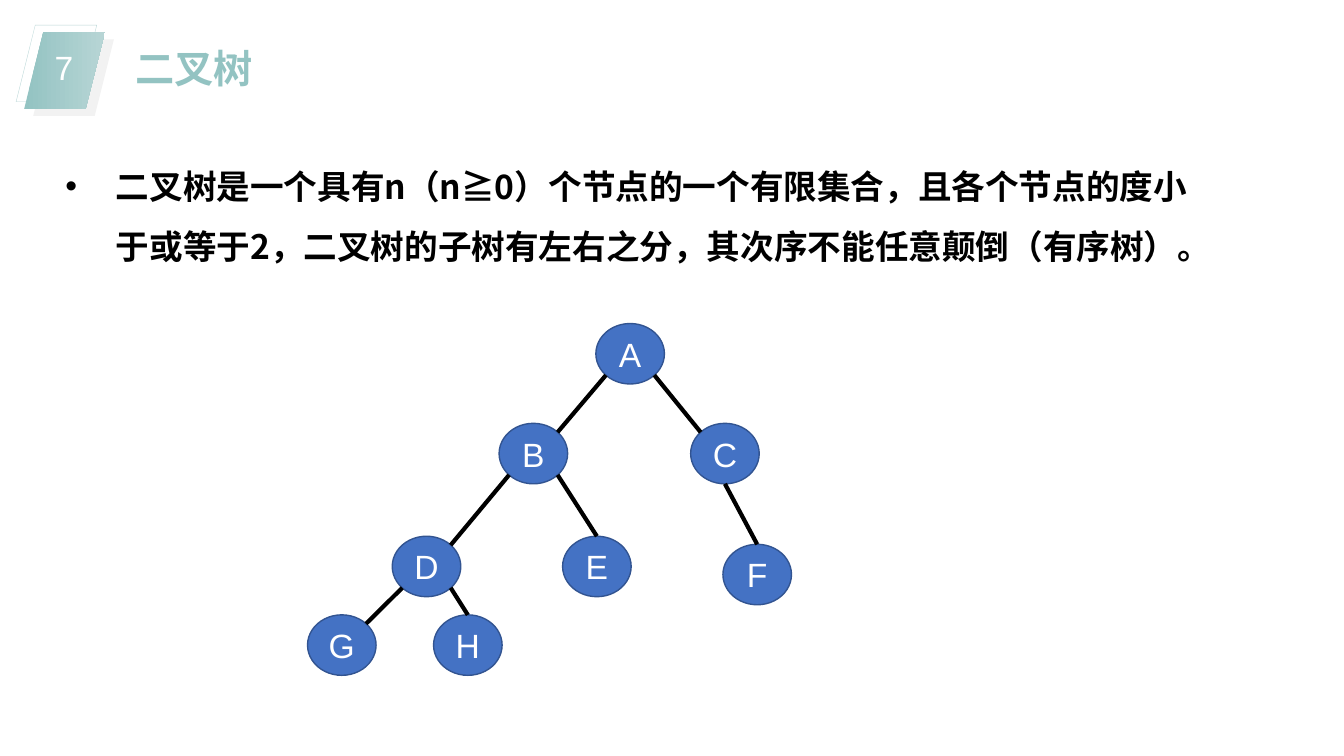
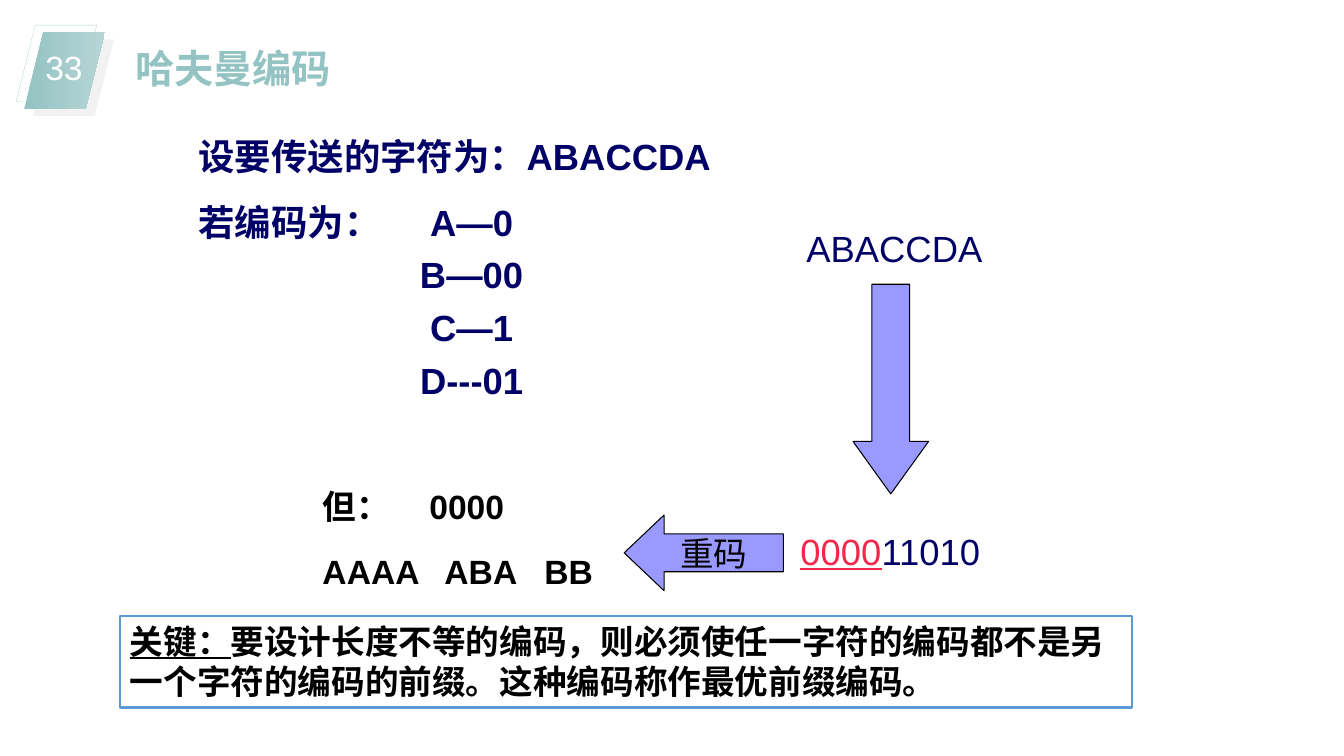
from dataclasses import dataclass, replace
from math import cos, radians, sin

from lxml.etree import SubElement
from pptx import Presentation
from pptx.dml.color import RGBColor
from pptx.enum.shapes import MSO_CONNECTOR, MSO_SHAPE
from pptx.enum.text import MSO_ANCHOR, MSO_AUTO_SIZE, PP_ALIGN
from pptx.oxml.ns import qn
from pptx.util import Inches, Pt

TEAL = RGBColor(0x93, 0xC3, 0xC2)
MIST = RGBColor(0xB7, 0xD5, 0xD5)
RIM = RGBColor(0xBA, 0xD7, 0xD7)
GREY = RGBColor(0xF2, 0xF2, 0xF2)
WHITE = RGBColor(0xFF, 0xFF, 0xFF)
BLACK = RGBColor(0, 0, 0)
NAVY = RGBColor(0, 0, 0x66)
RED = RGBColor(0xF3, 0x27, 0x49)
BLUE = RGBColor(0x44, 0x72, 0xC4)
EDGE = RGBColor(0x32, 0x54, 0x91)
LILAC = RGBColor(0x99, 0x99, 0xFF)
FRAME = RGBColor(0x5B, 0x9B, 0xD5)

NODE_W, NODE_H = 0.68, 0.6
NODES = {
    "A": (5.91, 3.21), "B": (4.95, 4.2), "C": (6.85, 4.2), "D": (3.89, 5.32),
    "E": (5.58, 5.32), "F": (7.17, 5.4), "G": (3.05, 6.1), "H": (4.3, 6.1),
}
# Connection sites of a circle run counter-clockwise from the top.
TOP, TOP_LEFT, LOW_LEFT, LOW, LOW_RIGHT, TOP_RIGHT = 0, 1, 3, 4, 5, 7
EDGES = [
    ("A", LOW_LEFT, "B", TOP_RIGHT), ("A", LOW_RIGHT, "C", TOP_LEFT),
    ("B", LOW_LEFT, "D", TOP_RIGHT), ("B", LOW_RIGHT, "E", TOP),
    ("C", LOW, "F", TOP),
    ("D", LOW_LEFT, "G", TOP_RIGHT), ("D", LOW_RIGHT, "H", TOP),
]


@dataclass(frozen=True)
class Style:
    size: int
    color: RGBColor
    bold: bool = False
    line: bool = False
    font: str = "Arial"


HEAD = Style(28, TEAL, bold=True)
LABEL = Style(24, WHITE)
STRONG = Style(24, BLACK, bold=True)
BODY = replace(STRONG, font="Noto Sans CJK SC")
CODE = Style(26, NAVY)


def add_run(para, text, style):
    run = para.add_run()
    run.text = text
    font = run.font
    font.name, font.size = style.font, Pt(style.size)
    font.bold, font.underline = style.bold, style.line
    font.color.rgb = style.color
    props = run._r.get_or_add_rPr()
    props.set("lang", "zh-CN")
    SubElement(props, qn("a:ea"), typeface=style.font)


def write(frame, paras, align=PP_ALIGN.LEFT, lead=None, gap=0):
    """Fill a frame; each paragraph is a list of (text, style) runs."""
    for i, runs in enumerate(paras):
        para = frame.paragraphs[0] if i == 0 else frame.add_paragraph()
        para.alignment = align
        para.line_spacing = lead
        para.space_before = Pt(gap if i else 0)
        for text, style in runs:
            add_run(para, text, style)
    return frame.paragraphs


def set_tabs(para, stops, align="l"):
    tabs = SubElement(para._p.get_or_add_pPr(), qn("a:tabLst"))
    for stop in stops:
        SubElement(tabs, qn("a:tab"), pos=str(Inches(stop)), algn=align)


def set_bullet(para, indent):
    props = para._p.get_or_add_pPr()
    props.set("marL", str(Inches(indent)))
    props.set("indent", str(-Inches(indent)))
    SubElement(props, qn("a:buFont"), typeface="Arial")
    SubElement(props, qn("a:buChar"), char="•")


def add_box(slide, at, paras, wrap=True, anchor=MSO_ANCHOR.TOP, **look):
    frame = slide.shapes.add_textbox(*map(Inches, at)).text_frame
    frame.word_wrap = wrap
    frame.vertical_anchor = anchor
    return write(frame, paras, **look)


def add_shape(slide, kind, at, fill=None, line=None, width=1):
    shape = slide.shapes.add_shape(kind, *map(Inches, at))
    shape.shadow.inherit = False
    if fill is None:
        shape.fill.background()
    else:
        shape.fill.solid()
        shape.fill.fore_color.rgb = fill
    if line is None:
        shape.line.fill.background()
    else:
        shape.line.color.rgb = line
        shape.line.width = Pt(width)
    return shape


def add_badge(slide, number):
    """Three stacked parallelograms with the page number on top."""
    kind, size = MSO_SHAPE.PARALLELOGRAM, (0.8, 0.76)
    add_shape(slide, kind, (0.16, 0.25, *size), line=RIM, width=0.25)
    add_shape(slide, kind, (0.33, 0.39, *size), GREY)
    front = add_shape(slide, kind, (0.24, 0.32, *size), TEAL)
    front.fill.gradient()
    front.fill.gradient_angle = 0
    for stop, color, place in zip(front.fill.gradient_stops, (TEAL, MIST), (0, 1)):
        stop.color.rgb = color
        stop.position = place
    add_box(slide, (0.33, 0.36, 0.61, 0.54), [[(str(number), LABEL)]], wrap=False,
            anchor=MSO_ANCHOR.MIDDLE, align=PP_ALIGN.CENTER, lead=1.2)


def add_page(deck, number, name):
    slide = deck.slides.add_slide(deck.slide_layouts[5])
    add_badge(slide, number)
    title = slide.shapes.title
    title.left, title.top = Inches(1.24), Inches(0.39)
    title.width, title.height = Inches(6), Inches(0.57)
    frame = title.text_frame
    frame.auto_size = MSO_AUTO_SIZE.NONE
    frame.vertical_anchor = MSO_ANCHOR.TOP
    write(frame, [[(name, HEAD)]])
    return slide


def add_node(slide, name):
    at = (*NODES[name], NODE_W, NODE_H)
    node = add_shape(slide, MSO_SHAPE.FLOWCHART_CONNECTOR, at, BLUE, EDGE)
    node.text_frame.vertical_anchor = MSO_ANCHOR.MIDDLE
    write(node.text_frame, [[(name, LABEL)]], PP_ALIGN.CENTER)
    return node


def site_point(node, site):
    turn = radians(90 + 45 * site)
    x = node.left + node.width / 2 * (1 + cos(turn))
    y = node.top + node.height / 2 * (1 - sin(turn))
    return round(x), round(y)


def add_edge(slide, start, out, end, into):
    """Join two nodes with a line glued to their connection sites."""
    edge = slide.shapes.add_connector(
        MSO_CONNECTOR.STRAIGHT, *site_point(start, out), *site_point(end, into))
    edge.line.color.rgb = BLACK
    edge.line.width = Pt(3)
    SubElement(edge._element.spPr, qn("a:effectLst"))
    glue = edge._element.find(".//" + qn("p:cNvCxnSpPr"))
    for tag, node, site in (("a:stCxn", start, out), ("a:endCxn", end, into)):
        SubElement(glue, qn(tag), id=str(node.shape_id), idx=str(site))


def add_arrow(slide, kind, at, head):
    arrow = add_shape(slide, kind, at, LILAC, BLACK, 0.75)
    arrow.adjustments[0] = 0.5
    arrow.adjustments[1] = head
    return arrow


def build_tree(deck):
    slide = add_page(deck, 7, "二叉树")
    text = ("二叉树是一个具有n（n≧0）个节点的一个有限集合，且各个节点的度小于或等于2，"
            "二叉树的子树有左右之分，其次序不能任意颠倒（有序树）。")
    paras = add_box(slide, (0.55, 1.4, 11.61, 1.9), [[(text, BODY)]], lead=Pt(43))
    set_bullet(paras[0], 0.5)
    nodes = {name: add_node(slide, name) for name in NODES}
    for start, out, end, into in EDGES:
        add_edge(slide, nodes[start], out, nodes[end], into)


def build_code(deck):
    slide = add_page(deck, 33, "哈夫曼编码")
    bold = replace(CODE, bold=True)
    lines = ["设要传送的字符为：ABACCDA", "若编码为：\tA—0", "\tB—00", "\tC—1", "\tD---01"]
    paras = add_box(slide, (1.87, 1.15, 7.33, 3), [[(line, bold)] for line in lines],
                    gap=6.5)
    for para in paras[:2]:
        para.line_spacing = 1.3
    for para in paras[1:]:
        set_tabs(para, [2.71], "ctr")

    add_arrow(slide, MSO_SHAPE.DOWN_ARROW, (8.46, 2.82, 0.75, 2.08), 0.694)
    add_box(slide, (7.9, 2.19, 2.1, 0.53), [[("ABACCDA", CODE)]])
    add_box(slide, (7.84, 5.2, 2.75, 0.53),
            [[("0000", replace(CODE, color=RED, line=True)), ("11010", CODE)]])

    paras = add_box(slide, (3.1, 4.77, 3.42, 1.19),
                    [[("但：\t0000", STRONG)], [("AAAA\tABA\tBB", STRONG)]], gap=18)
    set_tabs(paras[0], [1.06])
    set_tabs(paras[1], [1.21, 2.2])

    arrow = add_arrow(slide, MSO_SHAPE.LEFT_ARROW, (6.19, 5.11, 1.58, 0.75), 0.528)
    arrow.text_frame.word_wrap = False
    arrow.text_frame.vertical_anchor = MSO_ANCHOR.MIDDLE
    write(arrow.text_frame, [[("重码", replace(LABEL, color=BLACK))]], PP_ALIGN.CENTER)

    note = add_shape(slide, MSO_SHAPE.RECTANGLE, (1.19, 6.11, 10.04, 0.91),
                     WHITE, FRAME, 1.5)
    note.text_frame.vertical_anchor = MSO_ANCHOR.TOP
    write(note.text_frame, [[
        ("关键：", replace(STRONG, line=True)),
        ("要设计长度不等的编码，则必须使任一字符的编码都不是另一个字符的编码的前缀。"
         "这种编码称作最优前缀编码。", STRONG),
    ]])


def main():
    deck = Presentation()
    deck.slide_width, deck.slide_height = Inches(13.33), Inches(7.5)
    build_tree(deck)
    build_code(deck)
    deck.save("out.pptx")


if __name__ == "__main__":
    main()
